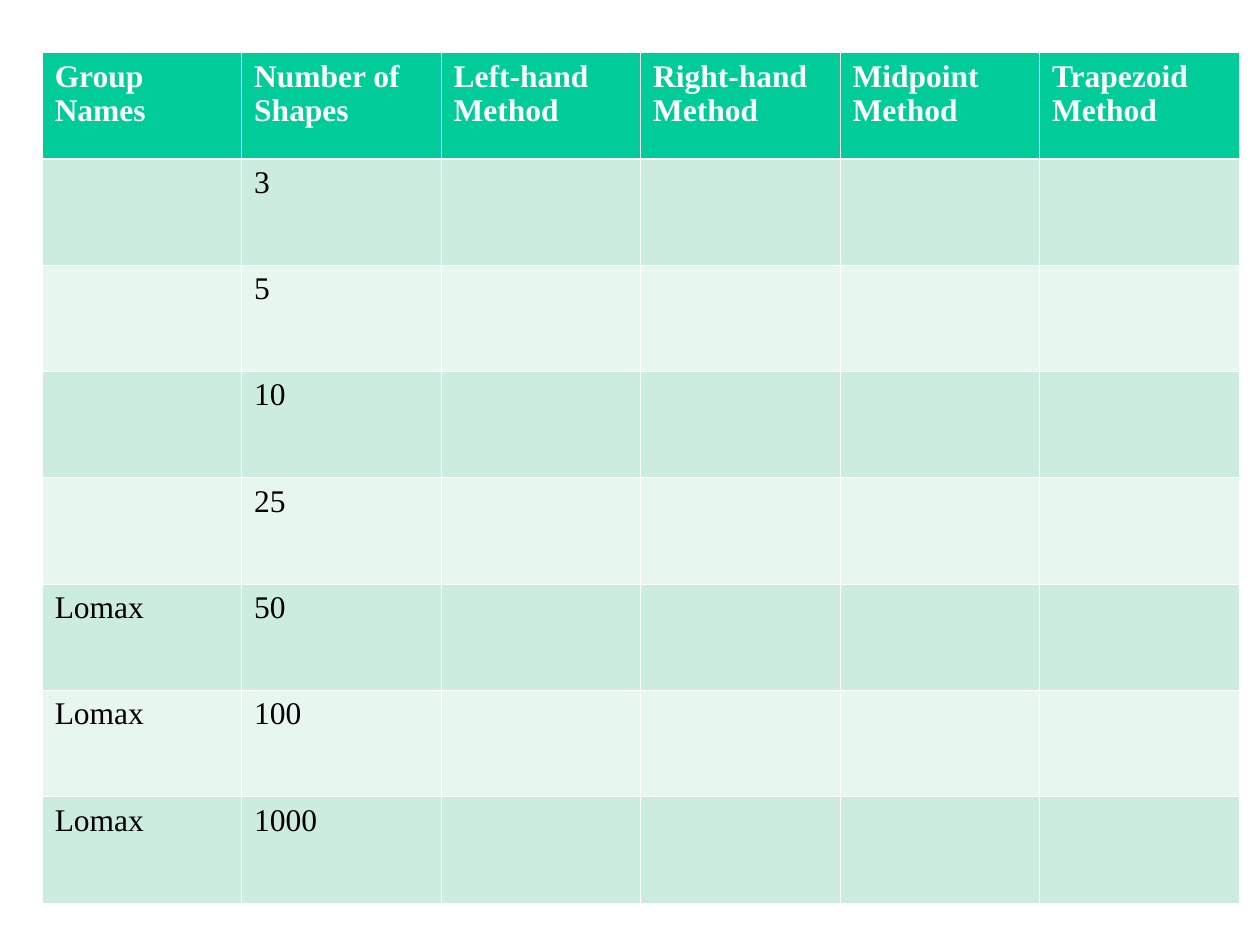
import pptx
import pptx.dml.color
import pptx.oxml
import pptx.oxml.ns
import pptx.util

WHITE = pptx.dml.color.RGBColor(0xFF, 0xFF, 0xFF)
BLACK = pptx.dml.color.RGBColor(0x00, 0x00, 0x00)
GREEN = pptx.dml.color.RGBColor(0x00, 0xCC, 0x99)
BAND_DARK = pptx.dml.color.RGBColor(0xCB, 0xEC, 0xDE)
BAND_LIGHT = pptx.dml.color.RGBColor(0xE7, 0xF6, 0xEF)

FONT = "Times New Roman"
THIN, THICK = pptx.util.Pt(0.45), pptx.util.Pt(1.47)

HEADERS = ["Group Names", "Number of Shapes", "Left-hand Method",
           "Right-hand\nMethod", "Midpoint\nMethod", "Trapezoid\nMethod"]
GROUPS = [("", "3"), ("", "5"), ("", "10"), ("", "25"),
          ("Lomax", "50"), ("Lomax", "100"), ("Lomax", "1000")]


def write_text(tf, text, size=18, color=BLACK, bold=False):
    """Fill a text frame, one paragraph for each line of text."""
    tf.text = text
    for p in tf.paragraphs:
        p.font.size = pptx.util.Pt(size)
        for r in p.runs:
            r.font.name = FONT
            r.font.size = pptx.util.Pt(size)
            r.font.bold = bold
            r.font.color.rgb = color


def set_borders(cell, top=THIN, bottom=THIN):
    """Draw white borders; side borders are always thin."""
    tc_pr = cell._tc.get_or_add_tcPr()
    widths = {"lnL": THIN, "lnR": THIN, "lnT": top, "lnB": bottom}
    for i, (tag, width) in enumerate(widths.items()):
        tc_pr.insert(i, pptx.oxml.parse_xml(
            f'<a:{tag} {pptx.oxml.ns.nsdecls("a")} w="{int(width)}">'
            f'<a:solidFill><a:srgbClr val="{WHITE}"/></a:solidFill></a:{tag}>'))


def add_methods_table(s, left, top, width, height):
    rows, cols = len(GROUPS) + 1, len(HEADERS)
    table = s.shapes.add_table(rows, cols, left, top, width, height).table
    for column in table.columns:
        column.width = int(width / cols)
    for row in table.rows:
        row.height = int(height / rows)

    blanks = ("",) * (cols - len(GROUPS[0]))
    for i, texts in enumerate([HEADERS] + [group + blanks for group in GROUPS]):
        header = i == 0
        fill = GREEN if header else BAND_DARK if i % 2 else BAND_LIGHT
        for j, text in enumerate(texts):
            cell = table.cell(i, j)
            cell.fill.solid()
            cell.fill.fore_color.rgb = fill
            set_borders(cell, top=THICK if i == 1 else THIN,
                        bottom=THICK if header else THIN)
            write_text(cell.text_frame, text, bold=header,
                       color=WHITE if header else BLACK)


def main():
    prs = pptx.Presentation()
    prs.slide_width = pptx.util.Cm(25.4)
    prs.slide_height = pptx.util.Cm(19.05)
    s = prs.slides.add_slide(prs.slide_layouts[6])
    add_methods_table(s, pptx.util.Cm(0.85), pptx.util.Cm(1.06),
                      pptx.util.Cm(24.13), pptx.util.Cm(17.15))
    prs.save("out.pptx")


if __name__ == "__main__":
    main()
